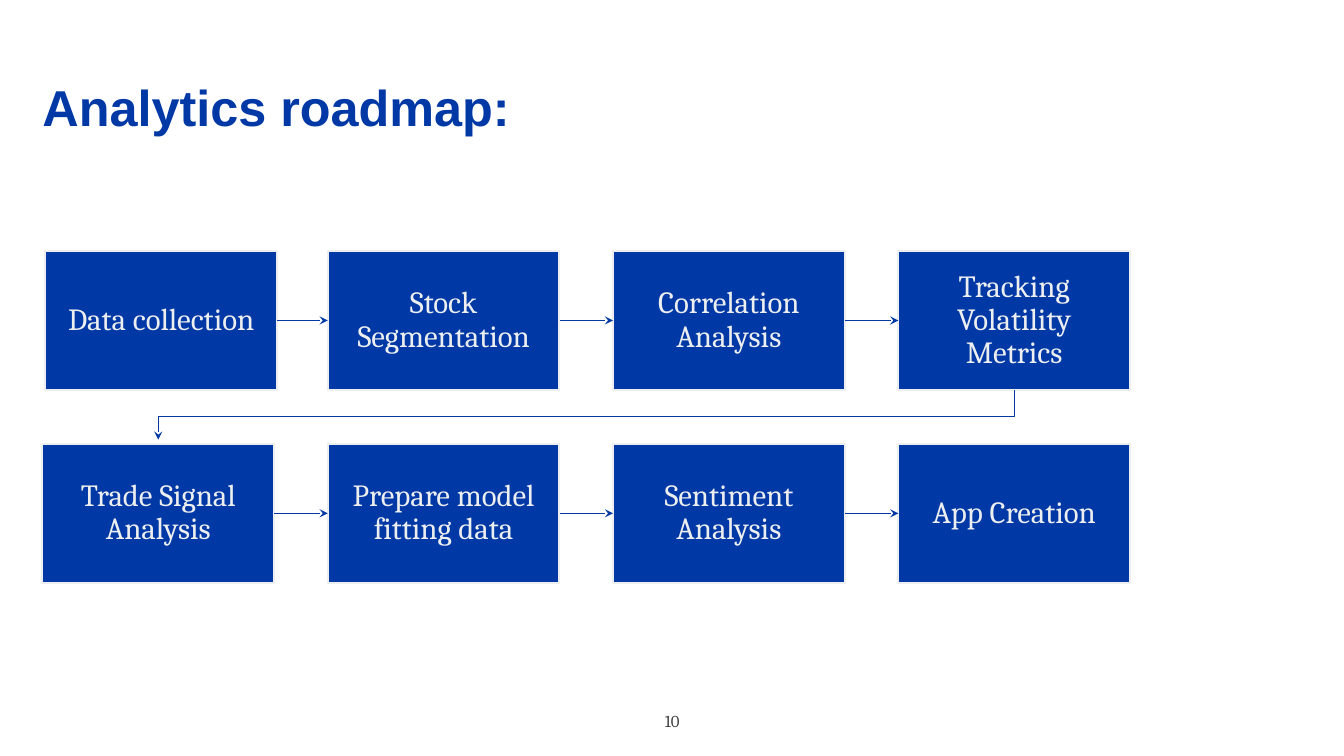
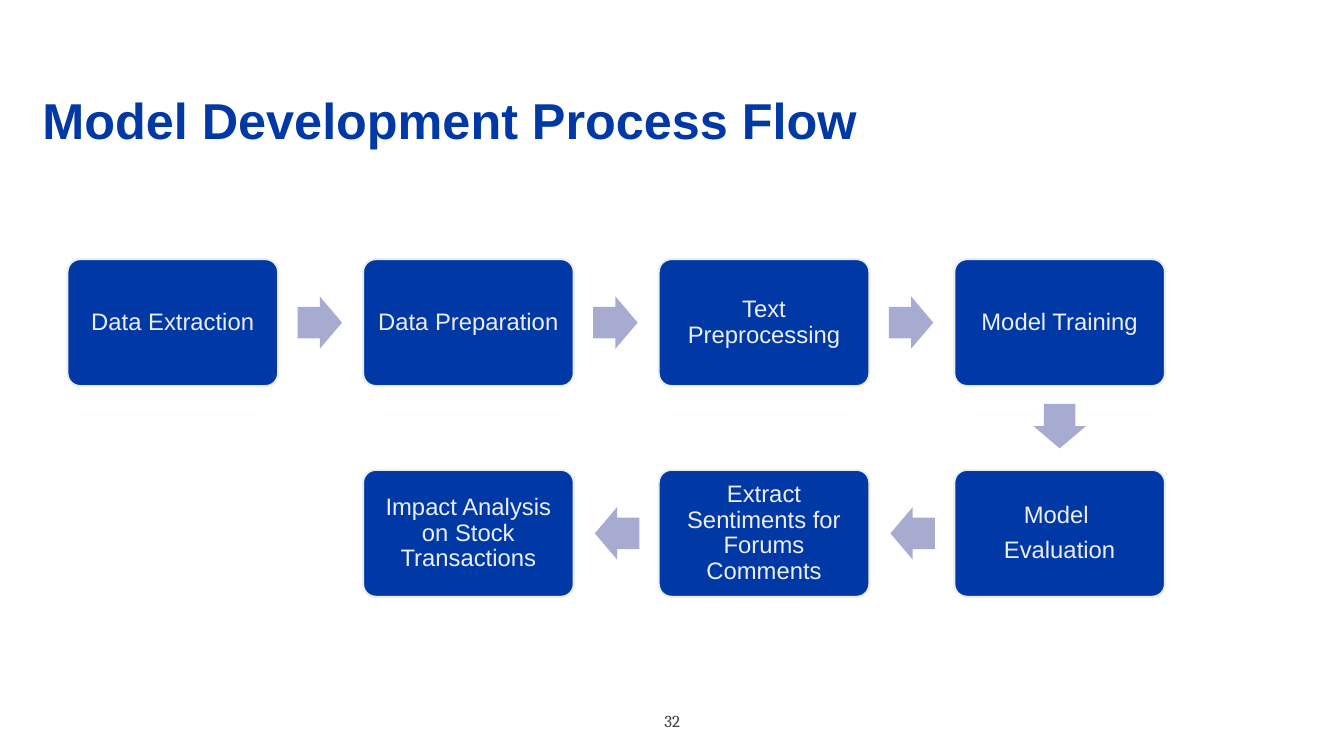
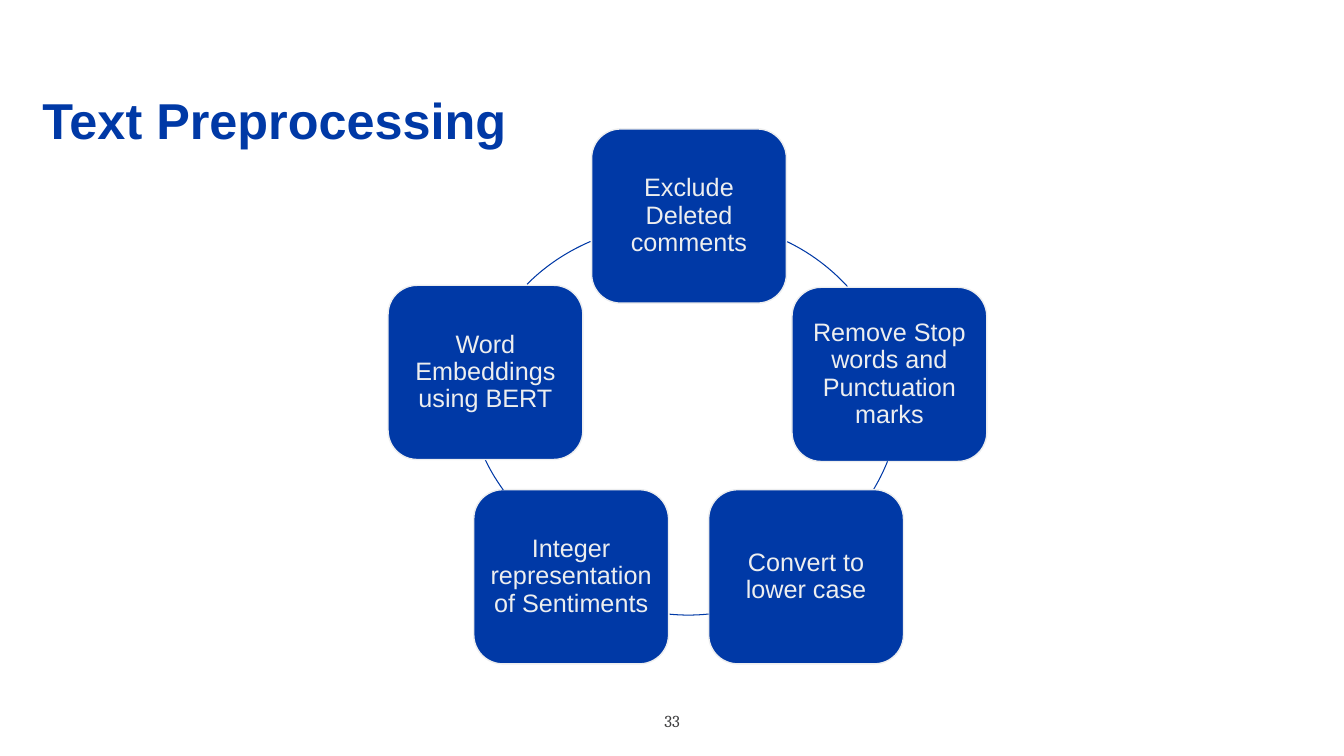
"""Build three slides on an analytics roadmap and its text model."""
import lxml.etree
import pptx
import pptx.dml.color
import pptx.enum.shapes
import pptx.enum.text
import pptx.oxml.ns
import pptx.util

Cm = pptx.util.Cm
Pt = pptx.util.Pt
RGBColor = pptx.dml.color.RGBColor
SHAPE = pptx.enum.shapes.MSO_SHAPE
ALIGN = pptx.enum.text.PP_ALIGN
ANCHOR = pptx.enum.text.MSO_ANCHOR

BLUE = RGBColor(0x00, 0x39, 0xA6)
PALE = RGBColor(0xED, 0xEE, 0xEF)
LILAC = RGBColor(0xA7, 0xAB, 0xCF)
GREY = RGBColor(0x40, 0x40, 0x41)

TITLE_FONT = {"name": "Arial", "size": Pt(36), "bold": True}
NUMBER_FONT = {"name": "Cambria", "size": Pt(12)}

ROADMAP_BOX = {"kind": SHAPE.RECTANGLE, "width": 5.84, "height": 3.51, "border": 1.5,
               "font": {"name": "Cambria", "size": Pt(22)}, "inset": 0.28}
FLOW_BOX = {"kind": SHAPE.ROUNDED_RECTANGLE, "width": 5.31, "height": 3.2, "border": 1.5,
            "font": {"name": "Arial", "size": Pt(17)}, "inset": 0.18, "corner": 0.1}
CYCLE_BOX = {"kind": SHAPE.ROUNDED_RECTANGLE, "width": 4.91, "height": 4.39, "border": 1,
             "font": {"name": "Arial", "size": Pt(18)}, "inset": 0.18, "corner": 0.167}


def assign(target, values):
    for name, value in values.items():
        setattr(target, name, value)


class Deck:
    def __init__(self):
        self.presentation = pptx.Presentation()
        assign(self.presentation, {"slide_width": Cm(33.87), "slide_height": Cm(19.05)})
        self.slide = None

    def add_slide(self, title, number, title_top):
        self.slide = self.presentation.slides.add_slide(self.presentation.slide_layouts[5])
        heading = self.slide.shapes.title
        assign(heading, {"left": Cm(1.07), "top": Cm(title_top),
                         "width": Cm(31.75), "height": Cm(1.4)})
        self.set_text(heading, title, TITLE_FONT, BLUE, 0, ALIGN.LEFT, ANCHOR.BOTTOM)
        footer = self.slide.shapes.add_textbox(Cm(13.13), Cm(17.65), Cm(7.62), Cm(1.02))
        self.set_text(footer, str(number), NUMBER_FONT, GREY, 0.13, spacing=1.0)

    def set_text(self, shape, text, font, color, inset, alignment=ALIGN.CENTER,
                 anchor=ANCHOR.MIDDLE, spacing=0.9):
        frame = shape.text_frame
        margins = {f"margin_{side}": Cm(inset) for side in ("left", "top", "right", "bottom")}
        assign(frame, {"text": text, "word_wrap": True, "vertical_anchor": anchor,
                       "auto_size": pptx.enum.text.MSO_AUTO_SIZE.NONE, **margins})
        for index, paragraph in enumerate(frame.paragraphs):
            assign(paragraph, {"alignment": alignment, "line_spacing": spacing,
                               "space_before": Pt(6 if index else 0)})
            for run in paragraph.runs:
                assign(run.font, font)
                run.font.color.rgb = color

    def box(self, text, left, top, style):
        shape = self.slide.shapes.add_shape(
            style["kind"], Cm(left), Cm(top), Cm(style["width"]), Cm(style["height"]))
        shape.shadow.inherit = False
        if "corner" in style:
            shape.adjustments[0] = style["corner"]
        shape.fill.solid()
        shape.fill.fore_color.rgb = BLUE
        self.outline(shape, PALE, style["border"])
        self.set_text(shape, text, style["font"], PALE, style["inset"])
        return shape

    def outline(self, shape, color=BLUE, width=0.75):
        shape.line.color.rgb = color
        shape.line.width = Pt(width)

    def arrowhead(self, shape):
        line = shape._element.spPr.find(pptx.oxml.ns.qn("a:ln"))
        lxml.etree.SubElement(line, pptx.oxml.ns.qn("a:tailEnd"), type="stealth")

    def arrow(self, start, end):
        """Join the right side of one box to the left side of the next."""
        connector = self.slide.shapes.add_connector(
            pptx.enum.shapes.MSO_CONNECTOR.STRAIGHT, 0, 0, 0, 0)
        connector.begin_connect(start, 3)
        connector.end_connect(end, 1)
        self.outline(connector)
        self.arrowhead(connector)
        lxml.etree.SubElement(connector._element.spPr, pptx.oxml.ns.qn("a:effectLst"))

    def return_arrow(self, start, end):
        """Lead from the bottom of one box back to the top of a lower one."""
        start_x, end_x = (box.left + box.width // 2 for box in (start, end))
        start_y, end_y = start.top + start.height, end.top - Cm(0.1)
        middle = (start_y + end.top) // 2
        builder = self.slide.shapes.build_freeform(start_x, start_y)
        builder.add_line_segments(
            [(start_x, middle), (end_x, middle), (end_x, end_y)], close=False)
        shape = builder.convert_to_shape()
        shape.shadow.inherit = False
        shape.fill.background()
        self.outline(shape)
        self.arrowhead(shape)

    def block_arrow(self, center_x, center_y, rotation):
        width, height = 1.12, 1.32
        shape = self.slide.shapes.add_shape(
            SHAPE.RIGHT_ARROW, Cm(center_x - width / 2), Cm(center_y - height / 2),
            Cm(width), Cm(height))
        shape.shadow.inherit = False
        shape.adjustments[0] = 0.6
        shape.adjustments[1] = 0.5
        shape.rotation = rotation
        shape.fill.solid()
        shape.fill.fore_color.rgb = LILAC
        shape.line.fill.background()

    def arc(self, left, top, start, end):
        """Draw a clockwise arc between two angles in degrees."""
        shape = self.slide.shapes.add_shape(
            SHAPE.ARC, Cm(left), Cm(top), Cm(10.06), Cm(10.06))
        shape.shadow.inherit = False
        for index, degrees in enumerate((start, end)):
            shape.adjustments[index] = degrees * 60000 / 100000
        shape.fill.background()
        self.outline(shape)


def add_roadmap(deck):
    deck.add_slide("Analytics roadmap:", 10, 2.06)
    rows = [
        (6.32, ["Data collection", "Stock Segmentation", "Correlation Analysis",
                "Tracking Volatility Metrics"]),
        (11.18, ["Trade Signal Analysis", "Prepare model fitting data",
                 "Sentiment Analysis", "App Creation"]),
    ]
    pitch = 7.19
    boxes = [[deck.box(text, 1.07 + column * pitch, top, ROADMAP_BOX)
              for column, text in enumerate(texts)] for top, texts in rows]
    boxes[0][0].left = Cm(1.14)
    for row in boxes:
        for start, end in zip(row, row[1:]):
            deck.arrow(start, end)
    deck.return_arrow(boxes[0][-1], boxes[1][0])


def add_process_flow(deck):
    deck.add_slide("Model Development Process Flow", 32, 2.39)
    left, pitch, tops = 1.7, 7.45, (6.53, 11.84)
    steps = [
        ("Data Extraction", 0, 0), ("Data Preparation", 1, 0),
        ("Text Preprocessing", 2, 0), ("Model Training", 3, 0),
        ("Model \nEvaluation", 3, 1), ("Extract Sentiments for Forums Comments", 2, 1),
        ("Impact Analysis on Stock Transactions", 1, 1),
    ]
    for text, column, row in steps:
        deck.box(text, left + column * pitch, tops[row], FLOW_BOX)
    half_width, half_height = FLOW_BOX["width"] / 2, FLOW_BOX["height"] / 2
    for column in range(3):
        deck.block_arrow(left + column * pitch + 6.36, tops[0] + half_height, 0)
    deck.block_arrow(left + 3 * pitch + half_width, 10.74, 90)
    for column in (2, 1):
        deck.block_arrow(left + column * pitch + 6.4, tops[1] + half_height, 180)


def add_preprocessing_cycle(deck):
    deck.add_slide("Text Preprocessing", 33, 2.39)
    steps = [
        ("Exclude Deleted comments", 14.91, 3.25),
        ("Remove Stop words and Punctuation marks", 19.96, 7.24),
        ("Convert to lower case", 17.86, 12.34),
        ("Integer representation of Sentiments", 11.94, 12.34),
        ("Word Embeddings using BERT", 9.78, 7.19),
    ]
    arcs = [
        (12.62, 5.59, 295.8, 317.5), (12.67, 4.72, 21.9, 31), (12.32, 5.44, 84.2, 95.5),
        (11.73, 4.37, 144.1, 154.2), (11.81, 5.69, 225, 247.1),
    ]
    for step, arc in zip(steps, arcs):
        deck.box(*step, CYCLE_BOX)
        deck.arc(*arc)


def main():
    deck = Deck()
    add_roadmap(deck)
    add_process_flow(deck)
    add_preprocessing_cycle(deck)
    deck.presentation.save("out.pptx")


if __name__ == "__main__":
    main()
